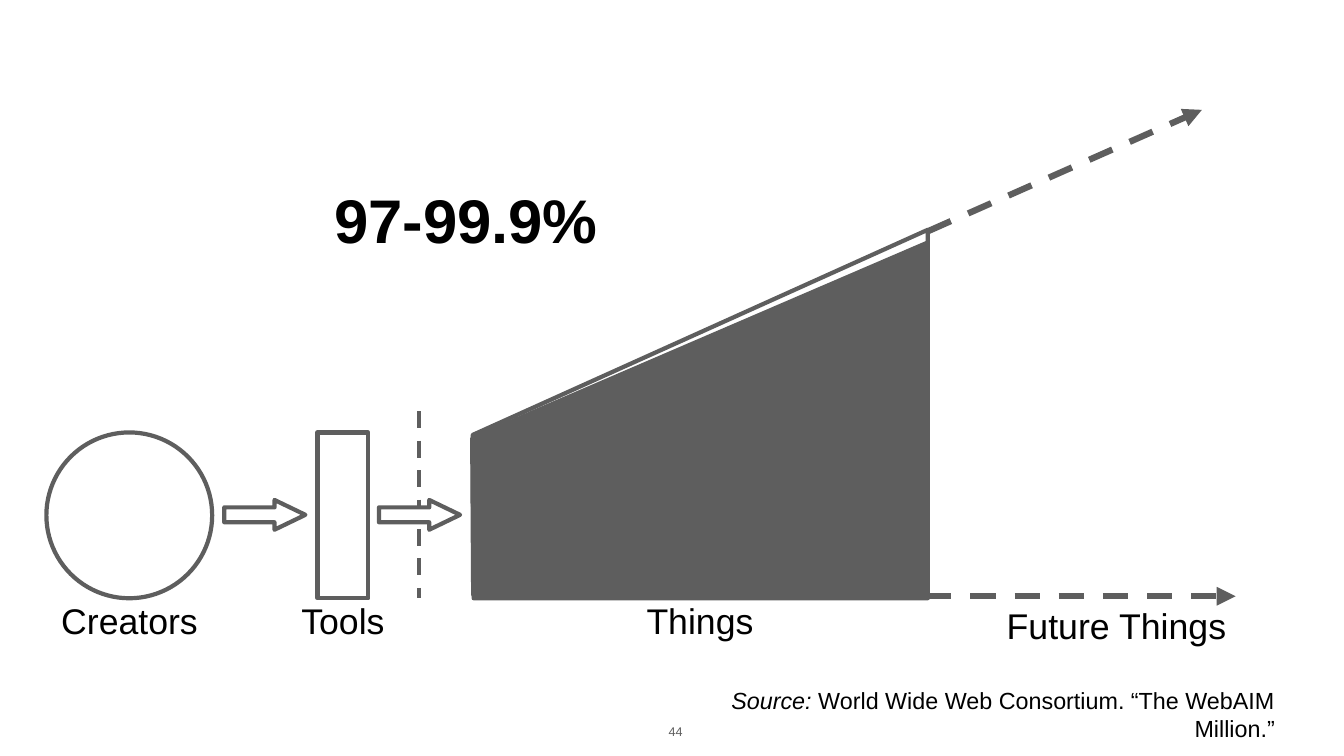
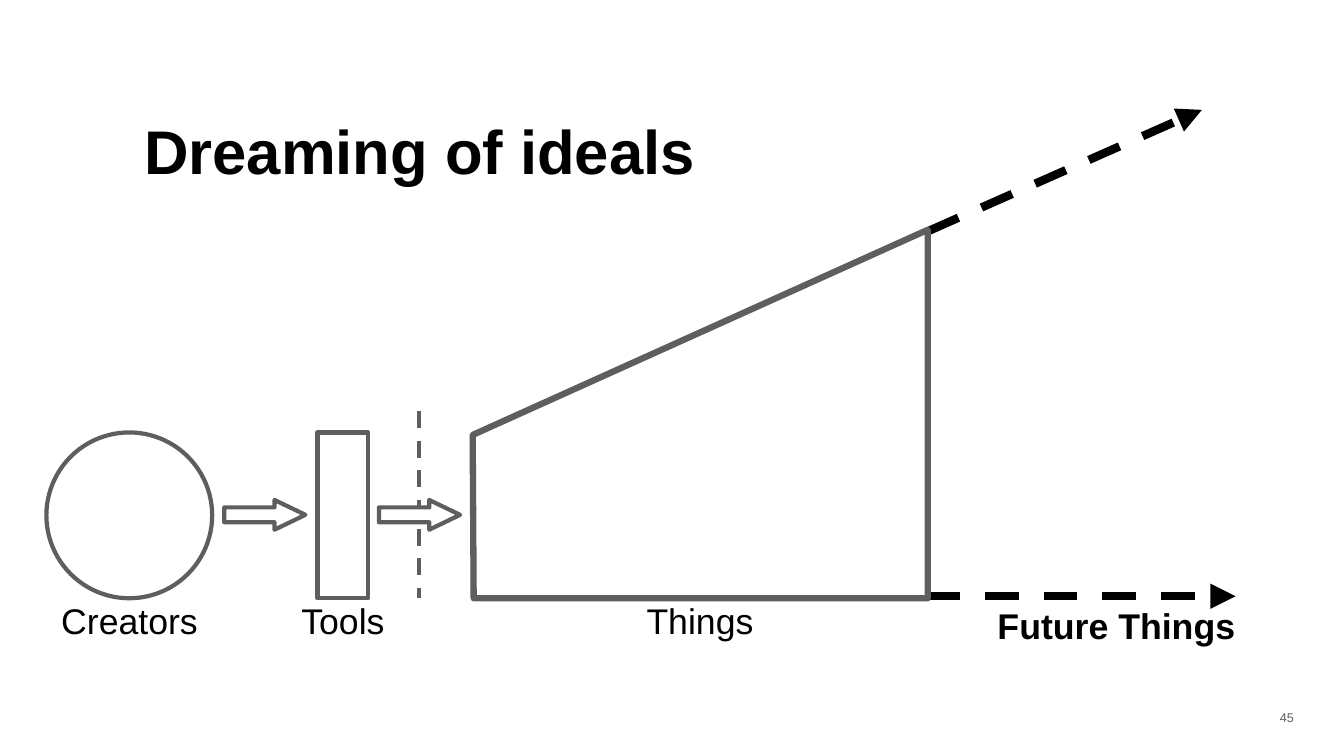
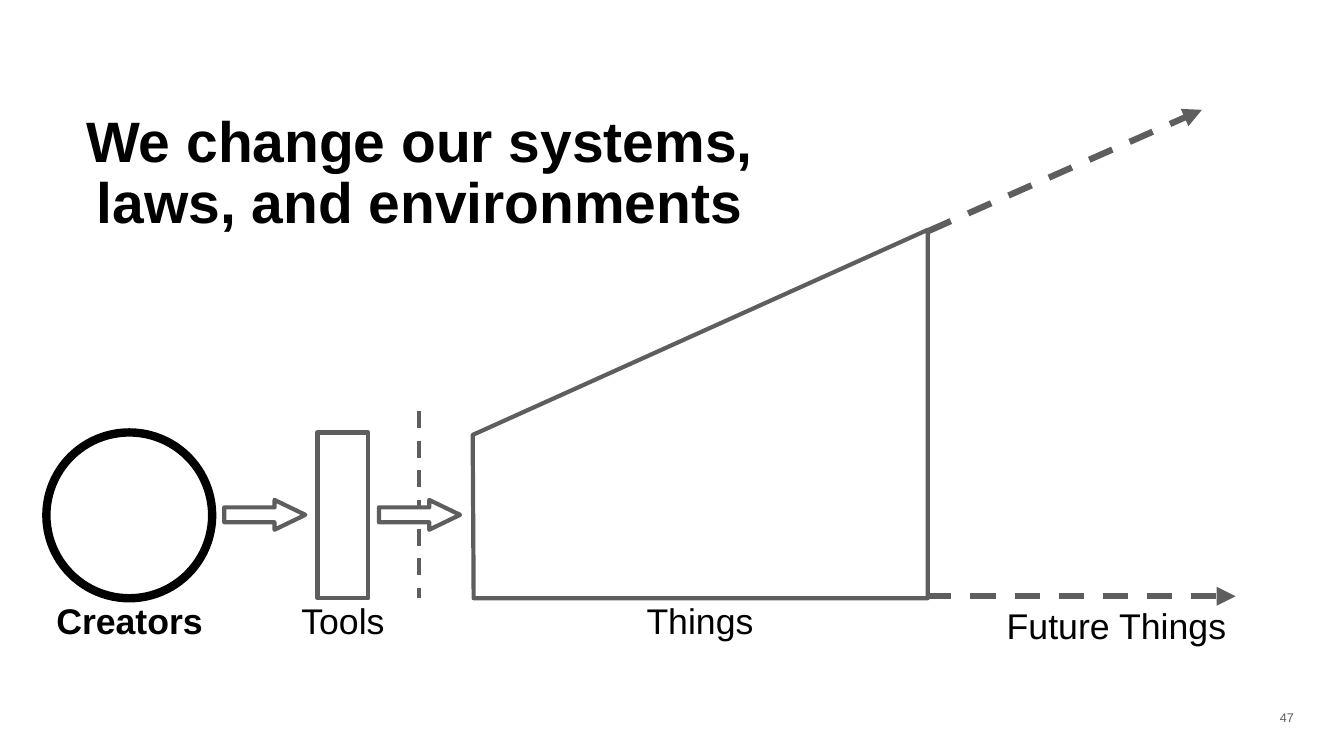
from lxml import etree
from pptx import Presentation
from pptx.dml.color import RGBColor
from pptx.enum.dml import MSO_LINE
from pptx.enum.shapes import MSO_CONNECTOR, MSO_SHAPE
from pptx.enum.text import MSO_ANCHOR, PP_ALIGN
from pptx.oxml.ns import qn
from pptx.util import Inches, Pt

DASH = MSO_LINE.DASH
STRAIGHT = MSO_CONNECTOR.STRAIGHT
RECTANGLE, OVAL, RIGHT_ARROW = MSO_SHAPE.RECTANGLE, MSO_SHAPE.OVAL, MSO_SHAPE.RIGHT_ARROW
LEFT, CENTER, RIGHT = PP_ALIGN.LEFT, PP_ALIGN.CENTER, PP_ALIGN.RIGHT
TOP, BOTTOM = MSO_ANCHOR.TOP, MSO_ANCHOR.BOTTOM

FONT = "Arial"
BLACK, GREY, WHITE = "000000", "5E5E5E", "FFFFFF"
THIN, MEDIUM, THICK = 6, 9, 12

LABEL_TOP = 11.92
THINGS_OUTLINE = [(9.38, 8.63), (9.4, 11.87), (18.41, 11.87), (18.41, 4.56)]
INACCESSIBLE_SHARE = [(9.37, 8.7), (9.39, 11.8), (18.39, 11.8), (18.39, 4.82)]

SLIDES = [
    {"title": "97-99.9%", "title_at": (2.55, 3.55), "title_size": 88, "title_spacing": 1,
     "number": "44", "number_left": 12.96, "number_anchor": BOTTOM, "emphasis": None},
    {"title": "Dreaming of ideals", "title_at": (1.63, 2.18), "title_size": 88,
     "title_spacing": 1, "number": "45", "number_left": 25.09, "number_anchor": TOP,
     "emphasis": "Future Things"},
    {"title": "We change our systems, laws, and environments", "title_at": (1.63, 2.18),
     "title_size": 81.4, "title_spacing": 0.9, "number": "47", "number_left": 25.09,
     "number_anchor": TOP, "emphasis": "Creators"},
]


def add_text(page, place, spans, size, color=BLACK, align=CENTER, spacing=1, inset=0.06):
    """Add a one-paragraph box; each span is (text, bold, italic)."""
    box = page.shapes.add_textbox(*map(Inches, place))
    frame = box.text_frame
    frame.word_wrap = True
    frame.margin_left = frame.margin_right = Inches(inset)
    frame.margin_top = frame.margin_bottom = Inches(inset)
    para = frame.paragraphs[0]
    para.alignment = align
    para.line_spacing = spacing
    for text, bold, italic in spans:
        span = para.add_run()
        span.text = text
        span.font.name = FONT
        span.font.size = Pt(size)
        span.font.bold = bold
        span.font.italic = italic
        span.font.color.rgb = RGBColor.from_string(color)
    return box


def paint(shape, fill=WHITE, color=GREY, width=THIN):
    """Give a shape a flat fill and an outline with round corners."""
    shape.shadow.inherit = False
    shape.fill.solid()
    shape.fill.fore_color.rgb = RGBColor.from_string(fill)
    shape.line.color.rgb = RGBColor.from_string(color)
    shape.line.width = Pt(width)
    etree.SubElement(shape.line._get_or_add_ln(), qn("a:round"))


deck = Presentation()
deck.slide_width = Inches(26.67)
deck.slide_height = Inches(15)

for content in SLIDES:
    page = deck.slides.add_slide(deck.slide_layouts[6])
    shapes = page.shapes
    emphasis = content["emphasis"]
    future_stressed = emphasis == "Future Things"

    paint(shapes.add_shape(RECTANGLE, Inches(6.3), Inches(8.58), Inches(1.01), Inches(3.29)))
    creators = shapes.add_shape(OVAL, Inches(0.92), Inches(8.58), Inches(3.29), Inches(3.29))
    if emphasis == "Creators":
        paint(creators, color=BLACK, width=THICK)
    else:
        paint(creators)

    trapezoids = [(THINGS_OUTLINE, WHITE, MEDIUM if future_stressed else THIN)]
    if content["number"] == "44":
        trapezoids.append((INACCESSIBLE_SHARE, GREY, THIN))
    for corners, fill, width in trapezoids:
        points = [(Inches(x), Inches(y)) for x, y in corners]
        builder = shapes.build_freeform(*points[0])
        builder.add_line_segments(points[1:], close=True)
        paint(builder.convert_to_shape(), fill, width=width)

    future_style = (BLACK, THICK) if future_stressed else (GREY, MEDIUM)
    for ends, (color, width), is_future in [
        ((8.32, 8.16, 8.32, 11.87), (GREY, THIN), False),
        ((18.41, 4.59, 23.85, 2.18), future_style, True),
        ((18.38, 11.83, 24.52, 11.83), future_style, True),
    ]:
        line = shapes.add_connector(STRAIGHT, *map(Inches, ends))
        line.line.color.rgb = RGBColor.from_string(color)
        line.line.width = Pt(width)
        line.line.dash_style = DASH
        if is_future:
            etree.SubElement(line.line._get_or_add_ln(), qn("a:tailEnd"), type="triangle")
        etree.SubElement(line._element.spPr, qn("a:effectLst"))
        if is_future and future_stressed:
            # Stressed arrows start behind the outline of the things
            shapes._spTree.insert(2, line._element)

    for left in (4.45, 7.52):
        arrow = shapes.add_shape(RIGHT_ARROW, Inches(left), Inches(9.92), Inches(1.61), Inches(0.59))
        arrow.adjustments[1] = 1.038
        paint(arrow)

    for label, left, width, height, size, spacing in [
        ("Creators", 0.63, 3.88, 1.15, 50.9, 0.9),
        ("Tools", 4.3, 5.01, 1.15, 50.9, 0.9),
        ("Things", 9.51, 8.76, 1.15, 50.9, 0.9),
        ("Future Things", 17.95, 8.41, 1.46, 51, 1),
    ]:
        add_text(page, (left, LABEL_TOP, width, height), [(label, label == emphasis, False)],
                 size, spacing=spacing)

    add_text(page, (*content["title_at"], 13.39, 2.99), [(content["title"], True, False)],
             content["title_size"], spacing=content["title_spacing"])
    if content["number"] == "44":
        add_text(page, (13.33, 13.56, 12.02, 1.16),
                 [("Source: ", False, True),
                  ("World Wide Web Consortium. “The WebAIM Million.”", False, False)],
                 33.3, align=RIGHT, inset=0.05)

    number = add_text(page, (content["number_left"], 14.02, 0.76, 0.7),
                      [(content["number"], False, False)], 18, GREY, LEFT)
    number.text_frame.margin_left = Inches(0.31)
    number.text_frame.margin_right = 0
    number.text_frame.vertical_anchor = content["number_anchor"]

deck.save("out.pptx")
